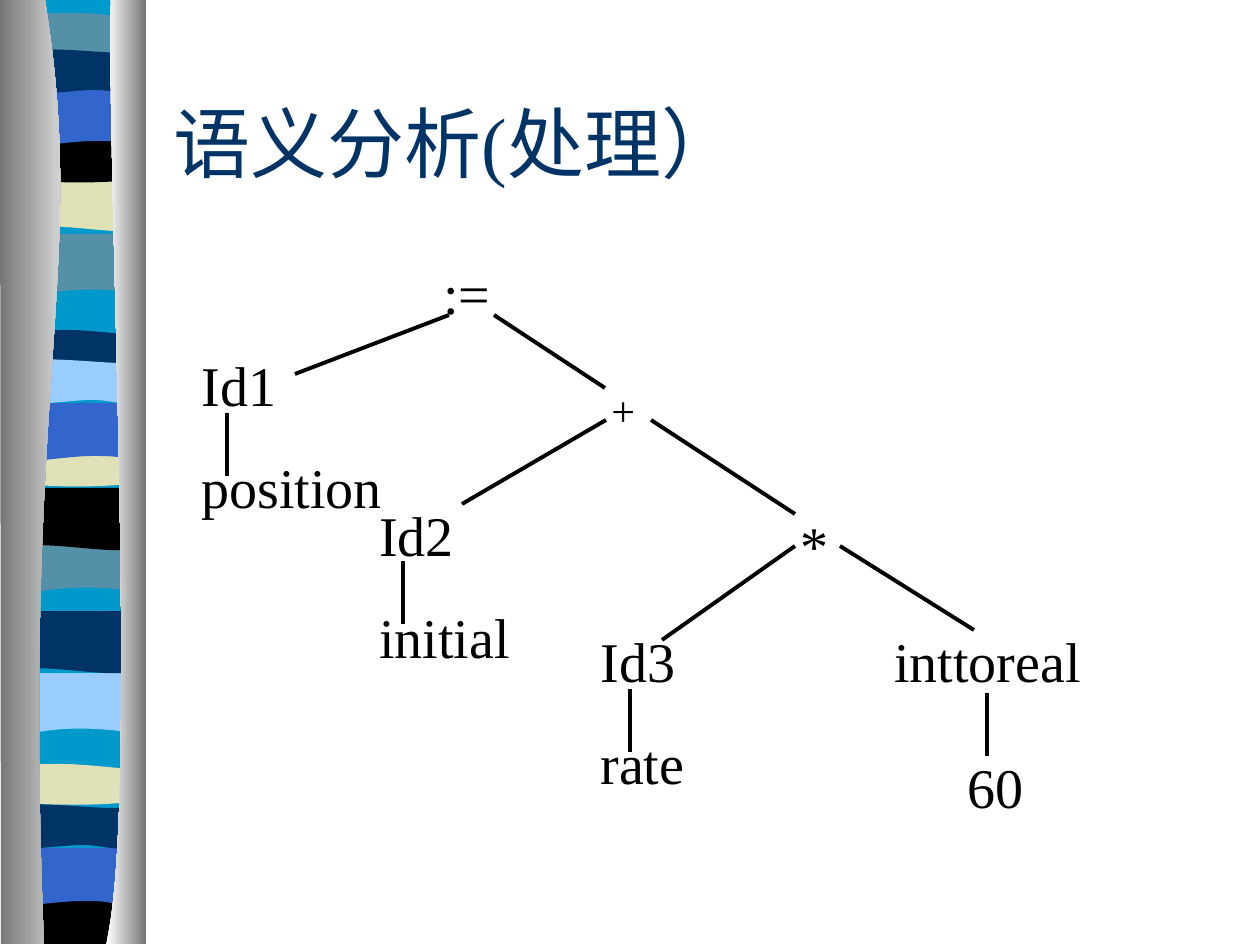
"""Build the semantic analysis slide: a syntax tree beside a ribbon of coloured bands."""
from lxml.etree import SubElement
from pptx import Presentation
from pptx.dml.color import RGBColor
from pptx.enum.shapes import MSO_CONNECTOR as Connector
from pptx.enum.text import MSO_ANCHOR as Anchor, MSO_AUTO_SIZE as AutoSize, PP_ALIGN as Align
from pptx.oxml.ns import qn
from pptx.util import Inches, Pt

PX = Inches(10) / 1260
FONT = "Times New Roman"
BLACK = RGBColor(0x00, 0x00, 0x00)
WHITE = RGBColor(0xFF, 0xFF, 0xFF)
GRAY = RGBColor(0x76, 0x76, 0x76)
NAVY = RGBColor(0x00, 0x33, 0x66)
CYAN = RGBColor(0x00, 0x99, 0xCC)
SLATE = RGBColor(0x54, 0x90, 0xA8)
SAND = RGBColor(0xE1, 0xE1, 0xB7)
BLUE = RGBColor(0x33, 0x66, 0xCC)
SKY = RGBColor(0x99, 0xCC, 0xFF)

TITLE = "语义分析(处理）"
TITLE_BOX = (161, 63, 1071, 158)

OUTLINES = {
    "wave": [(122, 0), (122, 59), (38, 48, 20, 68, 0, 59), (0, 0)],
    "swell": [(122, 0), (122, 59), (102, 69, 38, 52, 0, 59), (0, 0)],
    "lens": [(122, 5), (122, 37), (102, 42, 20, 42, 0, 37), (0, 5),
             (9, 0, 26, 0, 53, 0), (73, 0, 112, 5, 122, 5)],
    "bowl": [(122, 0), (122, 42), (102, 48, 20, 48, 0, 42), (0, 0), (76, 6, 97, 0, 122, 0)],
    "base": [(122, 0), (122, 47), (0, 47), (0, 0), (76, 6, 97, 0, 122, 0)],
    "arch": [(122, 0), (122, 59), (103, 53, 96, 53, 76, 53), (55, 53, 19, 59, 0, 59), (0, 0)],
    "flag": [(122, 8), (122, 45), (115, 53, 96, 45, 76, 45), (55, 45, 13, 53, 0, 45), (0, 8),
             (18, 0, 83, 8, 103, 8), (124, 8, 118, 8, 122, 8)],
    "backing": [(122, 0), (122, 940), (0, 940), (0, 0)],
    "left column": [(45, 0), (89, 272, 21, 373, 44, 944), (1, 944), (0, 0)],
    "right column": [(111, 0), (106, 158, 140, 814, 106, 944), (146, 944), (146, 0)],
}
BANDS = [
    ("backing", 18, 0, CYAN),
    ("wave", 18, 234, SLATE), ("swell", 23, 169, SAND), ("lens", 23, 13, SLATE),
    ("bowl", 18, 136, BLACK), ("arch", 18, 88, BLUE), ("flag", 18, 45, NAVY),
    ("wave", 11, 532, SLATE), ("swell", 16, 488, BLACK), ("lens", 16, 330, NAVY),
    ("bowl", 16, 440, SAND), ("arch", 16, 403, BLUE), ("flag", 16, 355, SKY),
    ("wave", 6, 673, SKY), ("swell", 13, 611, NAVY), ("lens", 11, 764, SAND),
    ("base", 11, 897, BLACK), ("arch", 5, 848, BLUE), ("flag", 6, 800, NAVY),
]
COLUMNS = [("left column", (GRAY, WHITE)), ("right column", (WHITE, GRAY))]

NODES = [
    (["60"], 955, 746, 84, 81, 32),
    ([":="], 431, 252, 89, 81, 32),
    (["+"], 599, 378, 89, 63, 24),
    (["*"], 788, 504, 89, 81, 32),
    (["Id1", "position"], 189, 344, 222, 183, 32),
    (["Id2", "initial"], 367, 494, 166, 183, 32),
    (["Id3", "rate"], 588, 620, 122, 183, 32),
    (["inttoreal"], 882, 620, 221, 81, 32),
]
EDGES = [
    (295, 374, 449, 315), (494, 315, 605, 388), (606, 420, 462, 504),
    (651, 420, 795, 514), (840, 546, 974, 630), (795, 546, 662, 640),
    (987, 693, 987, 756), (630, 689, 630, 752), (403, 561, 403, 624), (227, 413, 227, 476),
]


def px(*lengths):
    return [round(length * PX) for length in lengths]


def set_all(target, values):
    for name, value in values.items():
        setattr(target, name, value)


def format_font(font, size, color):
    set_all(font, {"name": FONT, "size": Pt(size)})
    font.color.rgb = color


def bend_curves(shape, steps):
    outline = next(shape._element.iter(qn("a:path")))
    segments = iter(outline.findall(qn("a:lnTo")))
    for step in steps[1:]:
        first, *others = [next(segments) for _ in range(len(step) // 2)]
        if others:
            curve = first.makeelement(qn("a:cubicBezTo"))
            first.addprevious(curve)
            for segment in (first, *others):
                curve.append(segment[0])
                outline.remove(segment)


def add_outline(slide, name, left=0, top=0):
    steps = OUTLINES[name]
    points = [px(left + x, top + y) for step in steps for x, y in zip(step[::2], step[1::2])]
    builder = slide.shapes.build_freeform(*points[0], scale=1.0)
    builder.add_line_segments(points[1:], close=True)
    shape = builder.convert_to_shape()
    bend_curves(shape, steps)
    shape.shadow.inherit = False
    shape.line.fill.background()
    return shape


def add_ribbon(slide):
    for name, left, top, color in BANDS:
        fill = add_outline(slide, name, left, top).fill
        fill.solid()
        fill.fore_color.rgb = color
    for name, colors in COLUMNS:
        fill = add_outline(slide, name).fill
        fill.gradient()
        fill.gradient_angle = 0
        for stop, color in zip(fill.gradient_stops, colors):
            stop.color.rgb = color


def add_title(slide):
    title = slide.shapes.title
    set_all(title, dict(zip(("left", "top", "width", "height"), px(*TITLE_BOX))))
    title.text_frame.text = TITLE
    set_all(title.text_frame, {"vertical_anchor": Anchor.MIDDLE, "auto_size": AutoSize.NONE})
    paragraph = title.text_frame.paragraphs[0]
    paragraph.alignment = Align.LEFT
    format_font(paragraph.runs[0].font, 44, NAVY)


def add_node(slide, lines, left, top, width, height, size):
    frame = slide.shapes.add_textbox(*px(left, top, width, height)).text_frame
    set_all(frame, {"word_wrap": True, "text": "\n".join(lines)})
    for index, paragraph in enumerate(frame.paragraphs):
        if index:
            paragraph.space_before = Pt(20)
        format_font(paragraph.runs[0].font, size, BLACK)


def add_edge(slide, ends):
    edge = slide.shapes.add_connector(Connector.STRAIGHT, *px(*ends))
    edge.line.width = Pt(2.25)
    edge.line.color.rgb = BLACK
    SubElement(edge._element.spPr, qn("a:effectLst"))


def main():
    presentation = Presentation()
    set_all(presentation, {"slide_width": Inches(10), "slide_height": Inches(7.5)})
    slide = presentation.slides.add_slide(presentation.slide_layouts[5])
    add_ribbon(slide)
    add_title(slide)
    for node in NODES:
        add_node(slide, *node)
    for ends in EDGES:
        add_edge(slide, ends)
    presentation.save("out.pptx")


if __name__ == "__main__":
    main()
